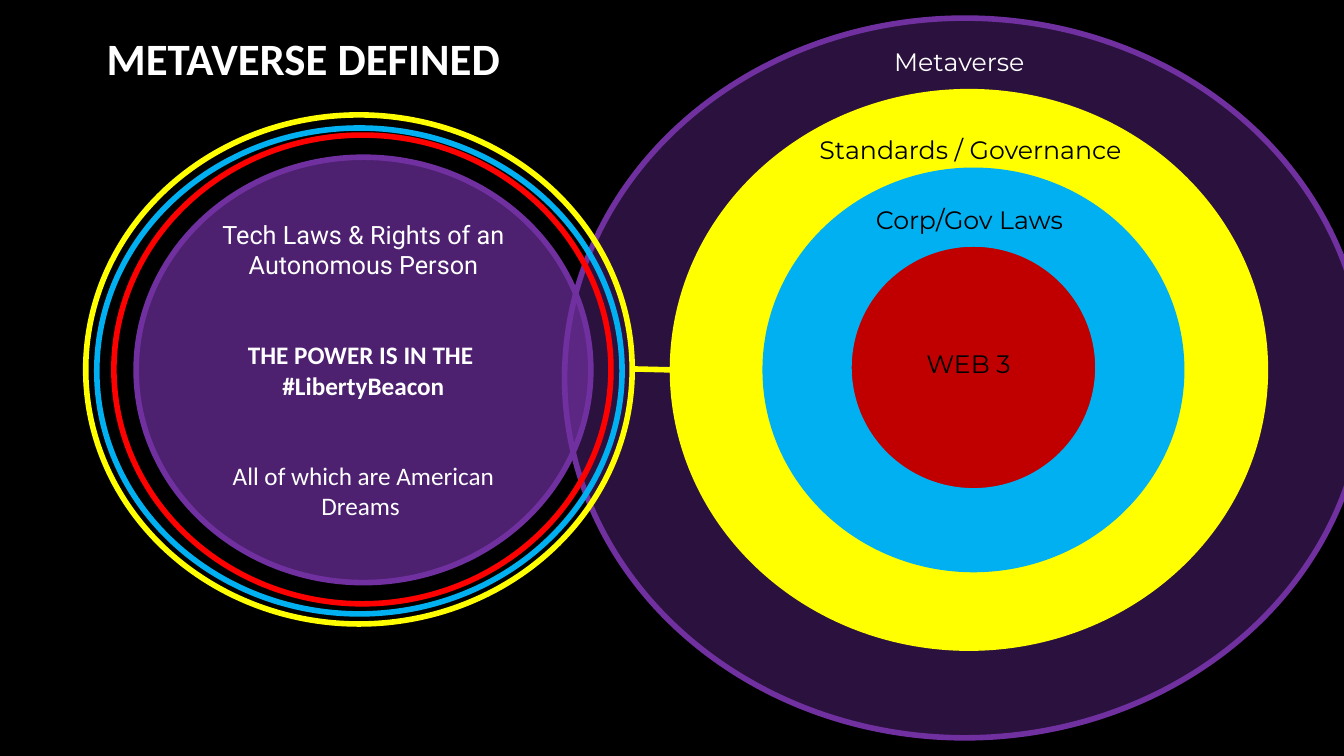
from lxml import etree
from pptx import Presentation, util as u
from pptx.dml.color import RGBColor
from pptx.enum import shapes, text
from pptx.oxml import ns

PX = 9144
BLACK, WHITE, PURPLE = "000000", "FFFFFF", "7030A0"
YELLOW, BLUE, RED, CRIMSON = "FFFF00", "00B0F0", "FF0000", "C00000"


def color(hex_code):
    """Turn a hex string into a colour."""
    return RGBColor.from_string(hex_code)


def within(box, part):
    """Place a part, given relative to a box, on the slide in EMU."""
    left, top, width, height = part
    return [u.Emu(n * PX) for n in (box[0] + left, box[1] + top, width, height)]


def outline(line, hex_code):
    """Give a line its colour and the common width."""
    line.color.rgb = color(hex_code)
    line.width = u.Pt(4)


def add_circle(slide, box, part, edge, fill=None, opacity=100):
    """Draw an ellipse, hollow unless a fill is given."""
    circle = slide.shapes.add_shape(shapes.MSO_SHAPE.OVAL, *within(box, part))
    circle.shadow.inherit = False
    outline(circle.line, edge)
    if fill is None:
        circle.fill.background()
        return circle
    circle.fill.solid()
    circle.fill.fore_color.rgb = color(fill)
    if opacity < 100:
        tint = circle.fill._xPr.find(".//" + ns.qn("a:srgbClr"))
        etree.SubElement(tint, ns.qn("a:alpha")).set("val", str(opacity * 1000))
    return circle


def add_run(paragraph, words, font, size, hex_code, bold=False):
    """Append one formatted run."""
    run = paragraph.add_run()
    run.text = words
    run.font.name = font
    run.font.size = u.Pt(size)
    run.font.bold = bold
    run.font.color.rgb = color(hex_code)


def add_label(slide, box, part, words, hex_code, align=text.PP_ALIGN.CENTER,
              font="Montserrat", size=18, bold=False):
    """Write one line of text in its own box."""
    frame = slide.shapes.add_textbox(*within(box, part)).text_frame
    frame.word_wrap = True
    frame.paragraphs[0].alignment = align
    add_run(frame.paragraphs[0], words, font, size, hex_code, bold)


def add_metaverse(slide, box):
    """Nest the metaverse layers around Web 3 and label each."""
    layers = [
        ((0, 0, *box[2:]), PURPLE, PURPLE, 39),
        ((107, 73, 588, 552), YELLOW, YELLOW, 100),
        ((199, 151, 413, 396), BLUE, BLUE, 100),
        ((282, 224, 247, 245), BLUE, CRIMSON, 100),
    ]
    for part, edge, fill, opacity in layers:
        add_circle(slide, box, part, edge, fill, opacity)
    add_label(slide, box, (268, 23, 247, 40), "Metaverse", WHITE)
    add_label(slide, box, (196, 110, 413, 40), "Standards / Governance", BLACK)
    add_label(slide, box, (278, 180, 247, 40), "Corp/Gov Laws", BLACK)
    add_label(slide, box, (349, 323, 153, 40), "WEB 3", BLACK, text.PP_ALIGN.LEFT)


def add_person(slide, box):
    """Ring the autonomous person's disc and write its message."""
    rings = [
        ((28, 20, 493, 465), RED),
        ((0, 0, *box[2:]), YELLOW),
        ((11, 13, 521, 482), BLUE),
    ]
    for part, edge in rings:
        add_circle(slide, box, part, edge)
    disc = add_circle(slide, box, (50, 42, 451, 422), PURPLE, PURPLE, 70)
    frame = disc.text_frame
    frame.word_wrap = True
    frame.vertical_anchor = text.MSO_ANCHOR.MIDDLE
    message = [
        (["Tech Laws & Rights of an Autonomous Person"], "Roboto", False),
        (["THE POWER IS IN THE ", "#LibertyBeacon"], "Calibri", True),
        (["All of which are American Dreams "], "Calibri", False),
    ]
    for index, (lines, font, bold) in enumerate(message):
        paragraph = frame.add_paragraph() if index else frame.paragraphs[0]
        paragraph.alignment = text.PP_ALIGN.CENTER
        paragraph.space_before = u.Pt(43 if index else 0)
        for number, words in enumerate(lines):
            if number:
                paragraph.add_line_break()
            add_run(paragraph, words, font, 18, WHITE, bold)


def add_link(slide, box):
    """Join the person's outer ring to the standards layer."""
    left, top, width, height = within(box, (0, 0, *box[2:]))
    link = slide.shapes.add_connector(
        shapes.MSO_CONNECTOR.STRAIGHT, left, top, left + width, top + height)
    outline(link.line, YELLOW)
    etree.SubElement(link._element.spPr, ns.qn("a:effectLst"))


def main():
    """Build the slide and save it."""
    deck = Presentation()
    deck.slide_width, deck.slide_height = u.Emu(1333 * PX), u.Emu(750 * PX)
    slide = deck.slides.add_slide(deck.slide_layouts[6])
    slide.background.fill.solid()
    slide.background.fill.fore_color.rgb = color(BLACK)
    add_metaverse(slide, (560, 18, 794, 714))
    add_link(slide, (627, 366, 40, 1))
    add_person(slide, (85, 114, 542, 505))
    add_label(slide, (96, 26), (0, 0, 860, 64), "METAVERSE DEFINED", WHITE,
              text.PP_ALIGN.LEFT, "Calibri", 32, True)
    deck.save("out.pptx")


if __name__ == "__main__":
    main()
